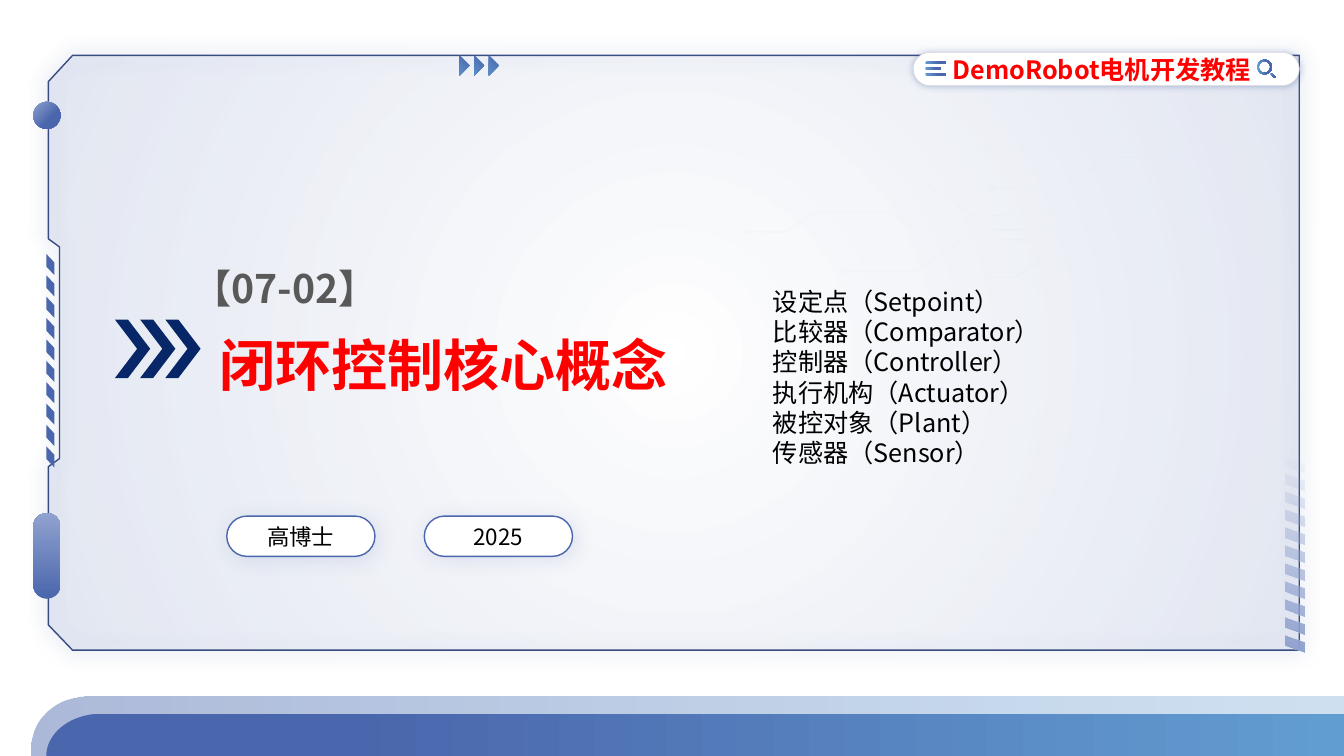
import math
import pptx
import pptx.dml.color
import pptx.enum.shapes
import pptx.enum.text
import pptx.oxml
import pptx.oxml.ns
import pptx.util
from lxml import etree

deck = pptx.Presentation()
deck.slide_width = pptx.util.Emu(12192000)
deck.slide_height = pptx.util.Emu(6858000)
page = deck.slides.add_slide(deck.slide_layouts[6])
shapes = page.shapes
preset = pptx.enum.shapes.MSO_SHAPE
align = pptx.enum.text.PP_ALIGN
anchor = pptx.enum.text.MSO_ANCHOR
rgb = pptx.dml.color.RGBColor.from_string
cell = deck.slide_height // 75
right, bottom = deck.slide_width / cell, 75
names = pptx.oxml.ns.nsdecls("a")
font_name = "Noto Sans CJK SC"
navy, blue, pale, sky = "002060", "4A66AC", "90A2CF", "629DD1"


def paint(shape, fill=None, line=None, width=1, angle=None, shadow=None, line_alpha=100):
    shape.shadow.inherit = False
    if isinstance(fill, str):
        shape.fill.solid()
        shape.fill.fore_color.rgb = rgb(fill)
    else:
        shape.fill.background()
    if isinstance(fill, list):
        stops = "".join(
            f'<a:gs pos="{place * 1000}"><a:srgbClr val="{colour}">'
            f'<a:alpha val="{alpha * 1000}"/></a:srgbClr></a:gs>'
            for place, colour, alpha in fill)
        if angle is None:
            course = ('<a:path path="circle"><a:fillToRect l="50000" t="50000" '
                      'r="50000" b="50000"/></a:path>')
        else:
            course = f'<a:lin ang="{angle * 60000}" scaled="0"/>'
        gradient = pptx.oxml.parse_xml(
            f'<a:gradFill {names} rotWithShape="1"><a:gsLst>{stops}</a:gsLst>{course}</a:gradFill>')
        empty = shape._element.spPr.find(pptx.oxml.ns.qn("a:noFill"))
        empty.getparent().replace(empty, gradient)
    if line:
        shape.line.color.rgb = rgb(line)
        shape.line.width = pptx.util.Pt(width)
        if line_alpha < 100:
            colour = shape.line._ln.find(".//" + pptx.oxml.ns.qn("a:srgbClr"))
            etree.SubElement(colour, pptx.oxml.ns.qn("a:alpha"), val=str(line_alpha * 1000))
    else:
        shape.line.fill.background()
    if shadow:
        alpha, blur, distance, direction = shadow
        shape._element.spPr.find(pptx.oxml.ns.qn("a:effectLst")).append(pptx.oxml.parse_xml(
            f'<a:outerShdw {names} blurRad="{blur * 12700}" dist="{distance * 12700}" '
            f'dir="{direction * 60000}" algn="ctr" rotWithShape="0"><a:srgbClr val="{blue}">'
            f'<a:alpha val="{alpha * 1000}"/></a:srgbClr></a:outerShdw>'))
    return shape


def outline(contours, closed=True):
    builder = None
    for contour in contours:
        points = [(x * cell, y * cell) for x, y in contour]
        if builder is None:
            builder = shapes.build_freeform(*points[0])
        else:
            builder.move_to(*points[0])
        builder.add_line_segments(points[1:], close=closed)
    return builder.convert_to_shape()


for step in range(3):
    chevron = shapes.add_shape(preset.CHEVRON, int((11.4 + 2.5 * step) * cell), int(31.7 * cell),
                               int(3.5 * cell), int(5.8 * cell))
    chevron.adjustments[0] = 0.63
    paint(chevron, navy)

frame = outline([[(7.2, 5.5), (128.9, 5.5), (128.9, 64.5), (7.2, 64.5), (4.8, 62), (4.8, 46.3),
                  (5.9, 45.5), (5.9, 24.5), (4.8, 23.7), (4.8, 8.1)]])
paint(frame, [(0, blue, 0), (100, blue, 10)], "384C81", shadow=(70, 15, 0, 0))

handle = shapes.add_shape(preset.ROUNDED_RECTANGLE, int(3.3 * cell), int(50.9 * cell),
                          int(2.7 * cell), int(8.5 * cell))
handle.adjustments[0] = 0.5
paint(handle, [(0, blue, 100), (100, pale, 100)], angle=270)

stripe_columns = [
    (127.5, 129.4, 45.2, 1.77, 11, 0.7, 1.1, [(0, pale, 100), (100, pale, 0)]),
    (4.6, 5.4, 25.2, 2.12, 10, 0.85, 1.25, blue),
]
for near, far, top, pitch, count, slant, thick, fill in stripe_columns:
    rows = [top + pitch * index for index in range(count)]
    stripes = outline([[(near, y), (far, y + slant), (far, y + slant + thick), (near, y + thick)]
                       for y in rows])
    paint(stripes, fill, angle=270)

traces = [
    [(109.4, 23.8), (95.4, 23.8), (90.9, 26.9), (84.1, 26.9)],
    [(123.9, 15.6), (109.9, 15.6), (105.4, 18.7), (98.6, 18.7)],
    [(92.3, 18.5), (96.6, 21.4), (99.6, 21.4)],
    [(105.1, 24.6), (100.7, 27.5), (97.7, 27.5)],
    [(112.5, 22.8), (90.8, 22.8), (88.3, 21.1), (80.7, 21.1), (77.9, 23), (74.2, 23)],
]
for trace in traces:
    paint(outline([trace], closed=False), line="E0EBF6", line_alpha=15)
nodes = [(83.9, 26.9, 0.5), (98.4, 18.7, 0.5), (100, 21.4, 0.3), (92.3, 18.4, 0.3),
         (97.7, 27.5, 0.3), (105.5, 24.5, 0.3), (74.1, 23, 0.4)]
for x, y, size in nodes:
    node = shapes.add_shape(preset.OVAL, int((x - size / 2) * cell), int((y - size / 2) * cell),
                            int(size * cell), int(size * cell))
    paint(node, line="E0EBF6", line_alpha=15)

for step in range(3):
    pointer = shapes.add_shape(preset.RIGHT_TRIANGLE, int((44.9 + 1.45 * step) * cell),
                               int(5.8 * cell), int(1.4 * cell), int(1.4 * cell))
    pointer.rotation = 315.3
    pointer._element.spPr.xfrm.set("flipH", "1")
    paint(pointer, [(0, blue, 100), (100, sky, 100)], angle=0)

bands = [
    (8.7, 74, 5.6, 4.9, [(0, blue, 46), (100, sky, 31)]),
    (10.1, 75, 5.5, 4.2, [(23, blue, 100), (100, sky, 100)]),
]
for x, y, across, rise, fill in bands:
    turns = [math.pi / 2 * index / 24 for index in range(25)]
    corner = [(x - across * math.cos(turn), y - rise * math.sin(turn)) for turn in turns]
    paint(outline([[(x - across, bottom)] + corner + [(right, y - rise), (right, bottom)]]),
          fill, angle=0)

knob = shapes.add_shape(preset.OVAL, int(3.3 * cell), int(10.1 * cell),
                        int(2.7 * cell), int(2.7 * cell))
paint(knob, [(0, pale, 100), (64, blue, 100)], angle=45)

pills = [
    (22.5, 51.2, 14.7, 4, blue, 1, (15, 15, 3, 45), "高博士"),
    (42.1, 51.2, 14.7, 4, blue, 1, (15, 15, 3, 45), "2025"),
    (90.6, 5.2, 38.3, 3.3, "D9D9D9", 0.5, (40, 5, 0, 0), ""),
]
labels = []
for x, y, width, height, line, weight, shadow, words in pills:
    pill = shapes.add_shape(preset.ROUNDED_RECTANGLE, int(x * cell), int(y * cell),
                            int(width * cell), int(height * cell))
    pill.adjustments[0] = 0.5
    paint(pill, "FFFFFF", line, weight, shadow=shadow)
    if words:
        labels.append((pill, words, 16, "000000", False, align.CENTER, anchor.MIDDLE, 1, 0))

icon_fill = [(0, sky, 100), (64, blue, 100)]
icon_parts = [
    (preset.ROUNDED_RECTANGLE, 91.8, 6.1, 2.1, 0.3, 0.5, 0),
    (preset.ROUNDED_RECTANGLE, 91.8, 6.65, 1.6, 0.3, 0.5, 0),
    (preset.ROUNDED_RECTANGLE, 91.8, 7.2, 2.1, 0.3, 0.5, 0),
    (preset.DONUT, 124.7, 5.9, 1.5, 1.5, 0.12, 0),
    (preset.ROUNDED_RECTANGLE, 126, 7.4, 0.6, 0.2, 0.5, 45),
]
for kind, x, y, width, height, adjustment, rotation in icon_parts:
    part = shapes.add_shape(kind, int(x * cell), int(y * cell),
                            int(width * cell), int(height * cell))
    part.adjustments[0] = adjustment
    part.rotation = rotation
    paint(part, icon_fill, angle=0)

concepts = "\n".join(["设定点（Setpoint）", "比较器（Comparator）", "控制器（Controller）",
                      "执行机构（Actuator）", "被控对象（Plant）", "传感器（Sensor）"])
texts = [
    (21.8, 30.8, 53.9, 9.8, "闭环控制核心概念", 40, "FF0000", True, align.LEFT, anchor.TOP, 1.3, 0),
    (93.4, 5.5, 31.8, 2.5, "DemoRobot电机开发教程", 18, "FF0000", True, align.CENTER,
     anchor.MIDDLE, 1.1, 0),
    (19.1, 24.8, 26.9, 6, "【07-02】", 28, "595959", True, align.LEFT, anchor.TOP, 1.3, 0),
    (75.7, 27.9, 30.9, 19.2, concepts, 18, "000000", False, align.LEFT, anchor.TOP, 1, 0.5),
]
for x, y, width, height, *style in texts:
    box = shapes.add_textbox(int(x * cell), int(y * cell), int(width * cell), int(height * cell))
    labels.append((box, *style))

for box, words, size, colour, bold, side, hold, spacing, inset in labels:
    frame_text = box.text_frame
    frame_text.word_wrap = True
    frame_text.vertical_anchor = hold
    frame_text.margin_top = frame_text.margin_bottom = int(inset * cell)
    frame_text.margin_left = frame_text.margin_right = int(2 * inset * cell)
    para = frame_text.paragraphs[0]
    para.text = words
    para.alignment = side
    para.line_spacing = spacing
    para.font.size = pptx.util.Pt(size)
    para.font.bold = bold
    para.font.color.rgb = rgb(colour)
    para.font.name = font_name
    etree.SubElement(para.font._rPr, pptx.oxml.ns.qn("a:ea"), typeface=font_name)

deck.save("out.pptx")
